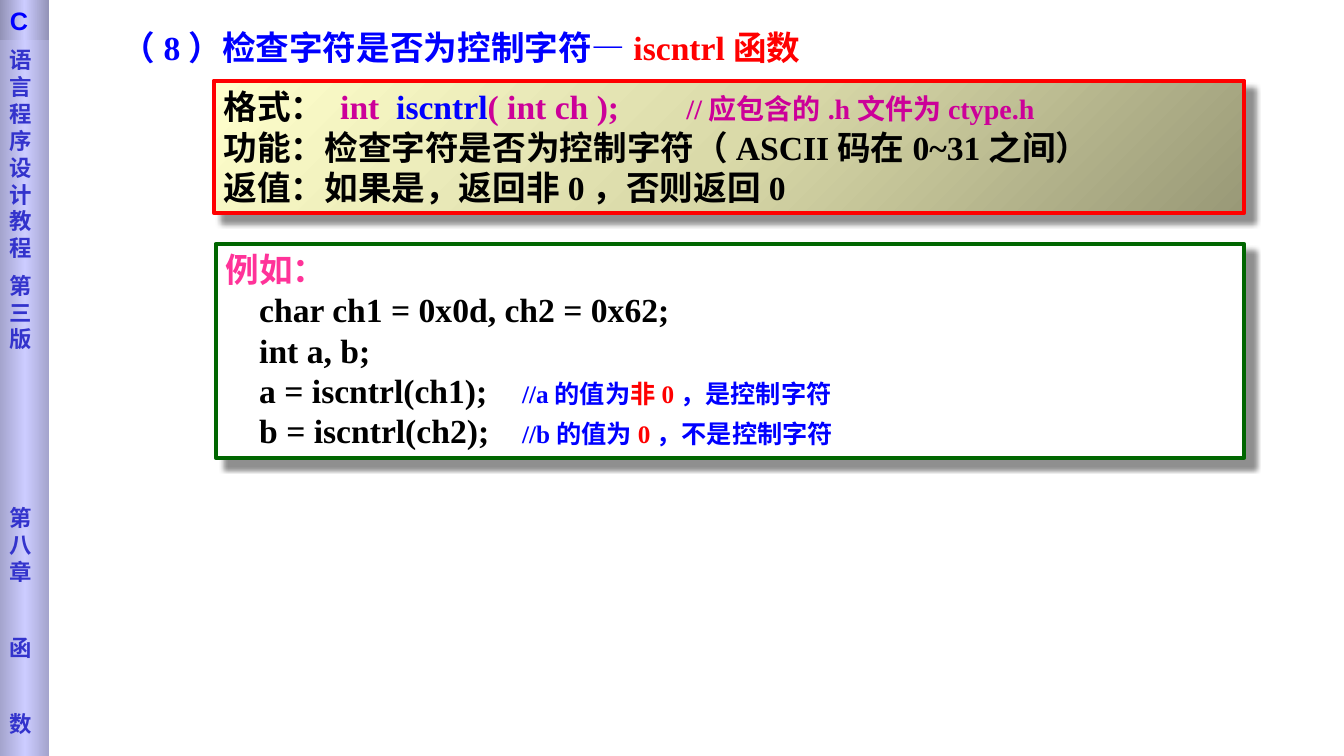
from copy import deepcopy
from dataclasses import dataclass

from lxml import etree
from pptx import Presentation
from pptx.dml.color import RGBColor
from pptx.enum import shapes, text
from pptx.oxml import ns
from pptx.util import Inches, Pt


@dataclass(frozen=True)
class Theme:
    serif: str = "Times New Roman"
    sans: str = "Arial"
    side: str = "DejaVu Sans"
    blue: str = "0000FF"
    red: str = "FF0000"
    black: str = "000000"
    magenta: str = "CC0099"
    pink: str = "FF3399"
    indigo: str = "3333CC"
    green: str = "006600"
    white: str = "FFFFFF"
    body: int = 24
    note: int = 20
    small: int = 18
    sidebar: int = 16
    border: int = 3
    strip: tuple = ("A4A4CD", "CCCCFF", "A4A4CD")
    badge: tuple = ("9292B6", "CCCCFF", "9292B6")
    sand: tuple = ("999977", "DADAA9", "FFFFCC")


class SlideBuilder:
    def __init__(self, slide, theme):
        self.slide = slide
        self.theme = theme

    def place(self, item, box):
        item.left, item.top, item.width, item.height = map(Inches, box)

    def add_lines(self, frame, lines, font=None, anchor=text.MSO_ANCHOR.TOP, gaps=(), tab=None):
        frame.word_wrap = True
        frame.auto_size = text.MSO_AUTO_SIZE.NONE
        frame.vertical_anchor = anchor
        for index, line in enumerate(lines):
            paragraph = frame.add_paragraph() if index else frame.paragraphs[0]
            paragraph.alignment = text.PP_ALIGN.LEFT
            if index and gaps:
                paragraph.space_before = Pt(gaps[index - 1])
            if tab and any("\t" in words for words, _, _ in line):
                stops = etree.SubElement(paragraph._p.get_or_add_pPr(), ns.qn("a:tabLst"))
                etree.SubElement(stops, ns.qn("a:tab"), pos=str(Inches(tab)), algn="l")
            for words, color, size in line:
                run = paragraph.add_run()
                run.text = words
                run.font.name = font or self.theme.serif
                run.font.size = Pt(size)
                run.font.bold = True
                run.font.color.rgb = RGBColor.from_string(color)

    def title(self, box, line):
        title = self.slide.shapes.title
        self.place(title, box)
        self.add_lines(title.text_frame, [line])

    def gradient(self, fill, colors, angle):
        fill.gradient()
        fill.gradient_angle = -angle % 360
        first = fill.gradient_stops[0]._gs
        first.addnext(deepcopy(first))
        for index, (stop, color) in enumerate(zip(fill.gradient_stops, colors)):
            stop.position = index / 2
            stop.color.rgb = RGBColor.from_string(color)

    def panel(self, box, fill, angle=0, border=None):
        panel = self.slide.shapes.add_shape(shapes.MSO_SHAPE.RECTANGLE, *map(Inches, box))
        panel.shadow.inherit = False
        if isinstance(fill, tuple):
            self.gradient(panel.fill, fill, angle)
        else:
            panel.fill.solid()
            panel.fill.fore_color.rgb = RGBColor.from_string(fill)
        if border:
            panel.line.color.rgb = RGBColor.from_string(border)
            panel.line.width = Pt(self.theme.border)
            self.drop_shadow(panel)
        else:
            panel.line.fill.background()
        return panel

    def drop_shadow(self, panel):
        effects = panel._element.spPr.find(ns.qn("a:effectLst"))
        shadow = etree.SubElement(
            effects, ns.qn("a:outerShdw"), blurRad=str(Pt(4)), dist=str(Pt(8.4)),
            dir=str(45 * 60000), algn="ctr", rotWithShape="0")
        color = etree.SubElement(shadow, ns.qn("a:srgbClr"), val=self.theme.black)
        etree.SubElement(color, ns.qn("a:alpha"), val="43000")


def build_sidebar(page):
    t = page.theme
    strip = page.panel((0, 0, 0.49, 7.5), t.strip)
    strip.text_frame.margin_top = Inches(0.46)
    labels = ("语言程序设计教程", "第三版", "第八章", "函", "数")
    page.add_lines(strip.text_frame, [[(label, t.indigo, t.sidebar)] for label in labels],
                   t.side, gaps=(7.5, 108.5, 35, 35))
    badge = page.panel((0, 0, 0.49, 0.4), t.badge)
    page.add_lines(badge.text_frame, [[("C", t.blue, t.small)]], t.sans)


def build_format(page):
    t = page.theme
    panel = page.panel((2.12, 0.8, 10.22, 1.31), t.sand, 225, t.red)
    page.add_lines(panel.text_frame, [
        [("格式： ", t.black, t.body), ("int  ", t.magenta, t.body),
         ("iscntrl", t.blue, t.body), ("( int ch );\t", t.magenta, t.body),
         ("//应包含的.h文件为ctype.h", t.magenta, t.note)],
        [("功能：检查字符是否为控制字符（ASCII码在0~31之间）", t.black, t.body)],
        [("返值：如果是，返回非0，否则返回0", t.black, t.body)],
    ], anchor=text.MSO_ANCHOR.MIDDLE, tab=4.59)


def build_example(page):
    t = page.theme
    panel = page.panel((2.14, 2.42, 10.2, 2.12), t.white, border=t.green)
    calls = [
        ("    a = iscntrl(ch1);\t", "//a的值为", "非0", "，是控制字符"),
        ("    b = iscntrl(ch2);\t", "//b的值为", "0", "，不是控制字符"),
    ]
    page.add_lines(panel.text_frame, [
        [("例如：", t.pink, t.body)],
        [("    char ch1 = 0x0d, ch2 = 0x62;", t.black, t.body)],
        [("    int a, b;", t.black, t.body)],
        *[[(code, t.black, t.body), (comment, t.blue, t.small),
           (value, t.red, t.small), (meaning, t.blue, t.small)]
          for code, comment, value, meaning in calls],
    ], tab=2.94)


def main():
    deck = Presentation()
    deck.slide_width, deck.slide_height = Inches(13.33), Inches(7.5)
    t = Theme()
    page = SlideBuilder(deck.slides.add_slide(deck.slide_layouts[5]), t)
    build_sidebar(page)
    page.title((1.11, 0.22, 8.65, 0.5), [
        ("（8）检查字符是否为控制字符—", t.blue, t.body), ("iscntrl函数", t.red, t.body)])
    build_format(page)
    build_example(page)
    deck.save("out.pptx")


if __name__ == "__main__":
    main()
